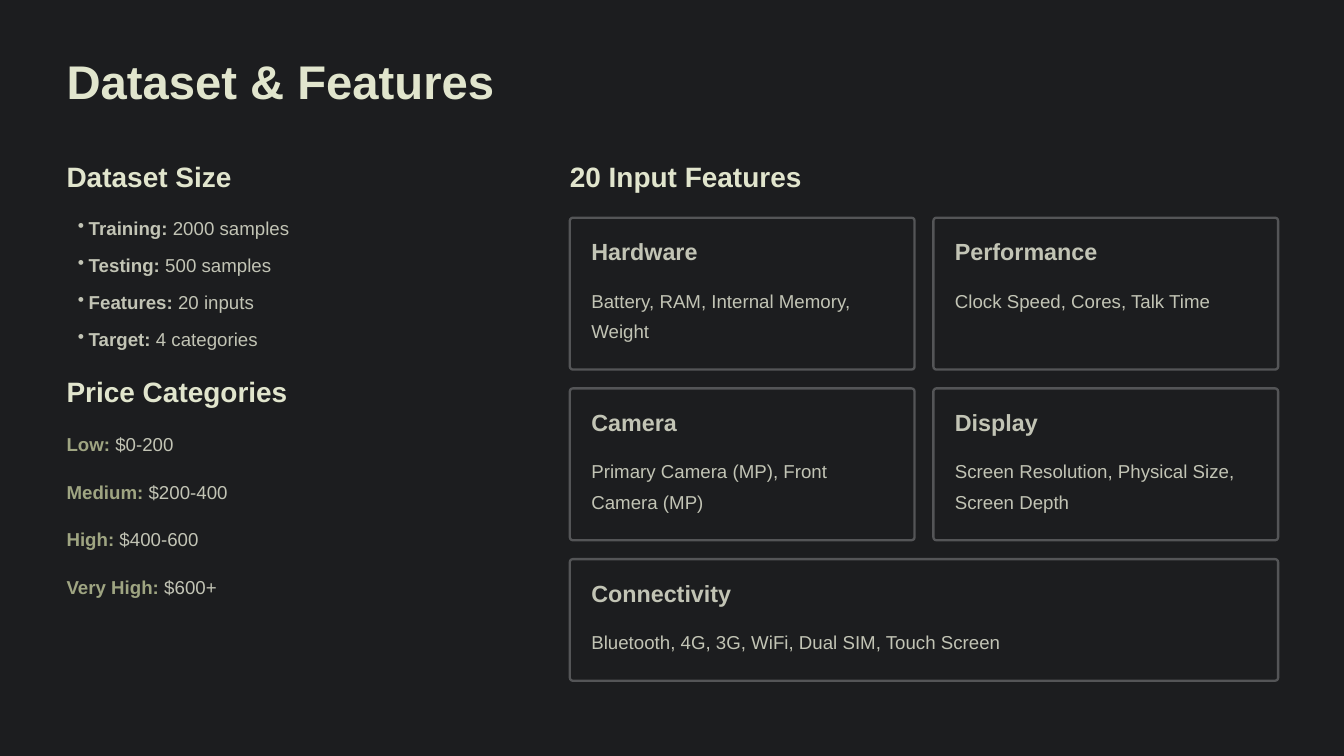
"""Build the Dataset & Features slide."""
import dataclasses
import typing

import pptx
import pptx.dml.color
import pptx.enum.shapes
import pptx.oxml
import pptx.oxml.ns
import pptx.shapes.autoshape
import pptx.slide
import pptx.util

Inches = pptx.util.Inches
Pt = pptx.util.Pt


@dataclasses.dataclass(frozen=True)
class TextStyle:
    size: float
    leading: float


@dataclasses.dataclass(frozen=True)
class Theme:
    font: str = "Arial"
    background: str = "1C1D1F"
    heading: str = "E1E5CD"
    body: str = "C2C4B5"
    accent: str = "9FA582"
    border: str = "545557"
    title_style: TextStyle = TextStyle(50.6, 63.1)
    section_style: TextStyle = TextStyle(30, 38.1)
    card_style: TextStyle = TextStyle(25, 31.2)
    body_style: TextStyle = TextStyle(20, 32.5)


class Fact(typing.NamedTuple):
    label: str
    value: str


class Card(typing.NamedTuple):
    title: str
    features: str
    column: int
    row: int
    columns: int = 1


THEME = Theme()
LEFT, RIGHT = 0.99, 8.48
SECTION_TOP = 2.35
COLUMN_WIDTH = 6.79
LINE_HEIGHT = 0.55
CARD_TOP, CARD_WIDTH, CARD_GAP = 3.24, 5.13, 0.28
CARD_PADDING = 0.32
ROW_HEIGHTS = (2.26, 2.26, 1.81)

DATASET = (
    Fact("Training:", "2000 samples"),
    Fact("Testing:", "500 samples"),
    Fact("Features:", "20 inputs"),
    Fact("Target:", "4 categories"),
)
PRICES = (
    Fact("Low:", "$0-200"),
    Fact("Medium:", "$200-400"),
    Fact("High:", "$400-600"),
    Fact("Very High:", "$600+"),
)
CARDS = (
    Card("Hardware", "Battery, RAM, Internal Memory, Weight", 0, 0),
    Card("Performance", "Clock Speed, Cores, Talk Time", 1, 0),
    Card("Camera", "Primary Camera (MP), Front Camera (MP)", 0, 1),
    Card("Display", "Screen Resolution, Physical Size, Screen Depth", 1, 1),
    Card("Connectivity", "Bluetooth, 4G, 3G, WiFi, Dual SIM, Touch Screen", 0, 2, 2),
)


def color(value: str) -> pptx.dml.color.RGBColor:
    return pptx.dml.color.RGBColor.from_string(value)


def add_text(page: pptx.slide.Slide, text: str, *, left: float, top: float,
             width: float, height: float, style: TextStyle, fill: str = THEME.body,
             bold: bool = False, value: str = "", bullet: bool = False) -> None:
    box = page.shapes.add_textbox(Inches(left), Inches(top), Inches(width), Inches(height))
    frame = box.text_frame
    frame.word_wrap = True
    frame.margin_left = frame.margin_top = frame.margin_right = frame.margin_bottom = 0
    para = frame.paragraphs[0]
    if bullet:
        para.level = 1
        properties = para._p.get_or_add_pPr()
        properties.set("marL", str(Inches(0.33)))
        properties.set("indent", str(Inches(-0.16)))
        mark = pptx.oxml.parse_xml(f'<a:buChar {pptx.oxml.ns.nsdecls("a")} char="•"/>')
        properties.append(mark)
    para.line_spacing = Pt(style.leading)
    pieces = [(text, fill, bold)]
    if value:
        pieces.append((f" {value}", THEME.body, False))
    for content, span_color, span_bold in pieces:
        span = para.add_run()
        span.text = content
        span.font.name = THEME.font
        span.font.size = Pt(style.size)
        span.font.bold = span_bold
        span.font.color.rgb = color(span_color)


def add_section(page: pptx.slide.Slide, text: str, left: float, top: float) -> None:
    add_text(page, text, left=left, top=top, width=4.25, height=0.57,
             style=THEME.section_style, fill=THEME.heading, bold=True)


def add_facts(page: pptx.slide.Slide, facts: typing.Sequence[Fact], top: float,
              pitch: float, label_color: str, bullet: bool) -> None:
    for index, fact in enumerate(facts):
        add_text(page, fact.label, value=fact.value, left=LEFT, top=top + index * pitch,
                 width=COLUMN_WIDTH, height=LINE_HEIGHT, style=THEME.body_style,
                 fill=label_color, bold=True, bullet=bullet)


def add_card(page: pptx.slide.Slide, card: Card) -> None:
    left = RIGHT + card.column * (CARD_WIDTH + CARD_GAP)
    top = CARD_TOP + sum(ROW_HEIGHTS[:card.row]) + card.row * CARD_GAP
    width = card.columns * CARD_WIDTH + (card.columns - 1) * CARD_GAP
    height = ROW_HEIGHTS[card.row]
    panel = page.shapes.add_shape(
        pptx.enum.shapes.MSO_SHAPE.ROUNDED_RECTANGLE,
        Inches(left), Inches(top), Inches(width), Inches(height))
    panel.adjustments[0] = 0.045 / height
    panel.shadow.inherit = False
    panel.fill.solid()
    panel.fill.fore_color.rgb = color(THEME.background)
    panel.line.color.rgb = color(THEME.border)
    panel.line.width = Pt(2.5)
    text_left = left + CARD_PADDING
    add_text(page, card.title, left=text_left, top=top + 0.28, width=3.54, height=0.47,
             style=THEME.card_style, bold=True)
    add_text(page, card.features, left=text_left, top=top + 0.95,
             width=width - 2 * CARD_PADDING, height=height - 1.26, style=THEME.body_style)


def main() -> None:
    deck = pptx.Presentation()
    deck.slide_width, deck.slide_height = Inches(20), Inches(11.25)
    page = deck.slides.add_slide(deck.slide_layouts[6])
    page.background.fill.solid()
    page.background.fill.fore_color.rgb = color(THEME.background)

    add_text(page, "Dataset & Features", left=LEFT, top=0.74, width=7.08, height=0.95,
             style=THEME.title_style, fill=THEME.heading, bold=True)
    add_section(page, "Dataset Size", LEFT, SECTION_TOP)
    add_facts(page, DATASET, 3.11, 0.55, THEME.body, bullet=True)
    add_section(page, "Price Categories", LEFT, 5.55)
    add_facts(page, PRICES, 6.32, 0.71, THEME.accent, bullet=False)
    add_section(page, "20 Input Features", RIGHT, SECTION_TOP)
    for card in CARDS:
        add_card(page, card)
    deck.save("out.pptx")


if __name__ == "__main__":
    main()
